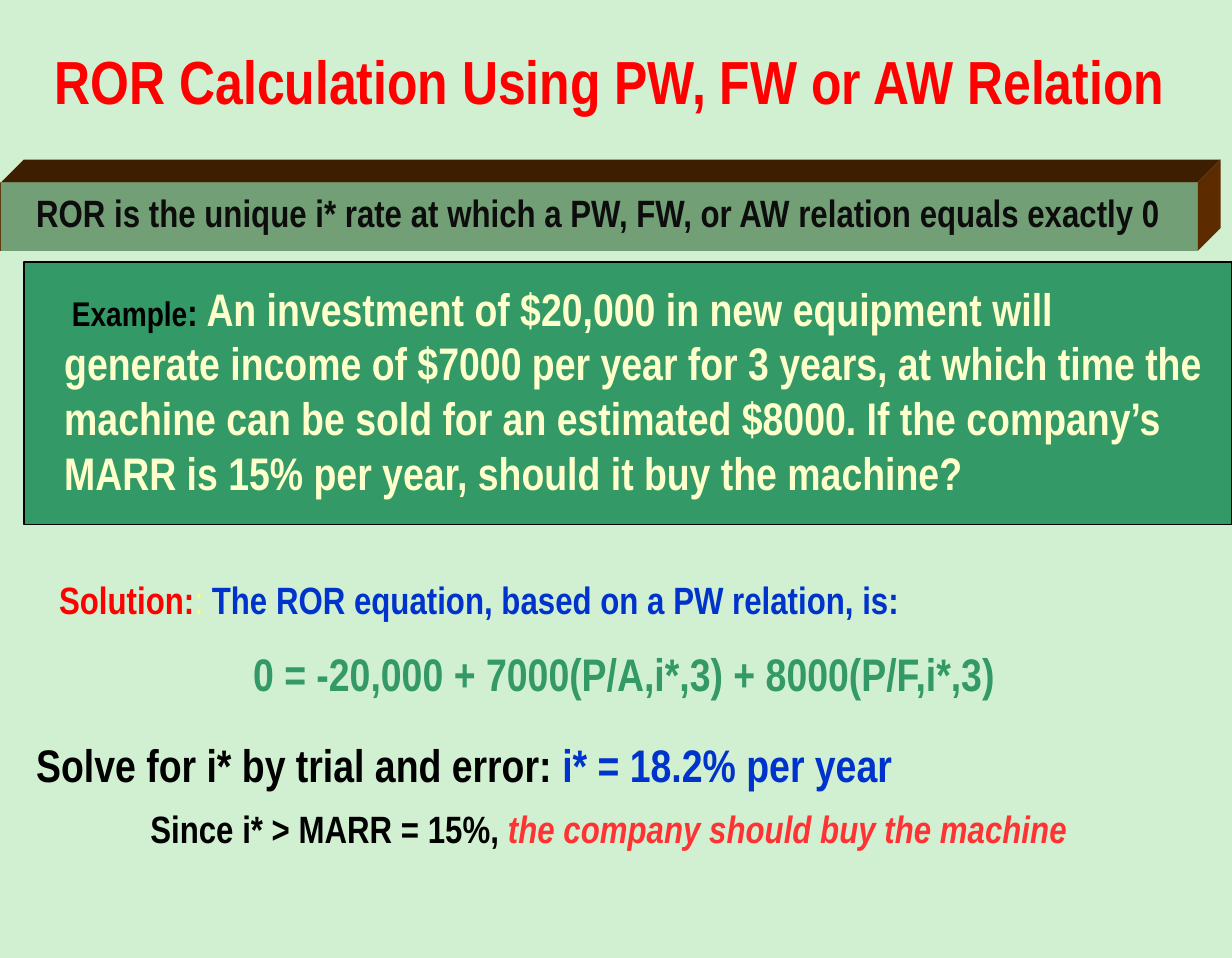
import pptx
import pptx.dml.color
import pptx.enum.shapes
import pptx.enum.text
import pptx.util

COLS, ROWS = 108, 84
CELL = pptx.util.Inches(1) // 12
EDGE = 0.08
FONT = "Arial Narrow"
BLACK, BLUE, GREEN, RED = "000000", "0033CC", "339966", "FF0000"
DARK_BROWN, BROWN = "3D1E00", "5C2C00"


def rgb(color):
    """Turn a hex string into a colour."""
    return pptx.dml.color.RGBColor.from_string(color)


def grid(*cells):
    """Turn grid columns and rows into lengths."""
    return [round(c * CELL) for c in cells]


def paint(sp, fill, line=None):
    """Give a shape a plain fill, an optional line and no shadow."""
    sp.shadow.inherit = False
    sp.fill.solid()
    sp.fill.fore_color.rgb = rgb(fill)
    if line:
        sp.line.color.rgb = rgb(line)
        sp.line.width = pptx.util.Pt(1)
    else:
        sp.line.fill.background()


def add_box(s, box, fill, line=None):
    """Add a filled rectangle."""
    rect = pptx.enum.shapes.MSO_SHAPE.RECTANGLE
    paint(s.shapes.add_shape(rect, *grid(*box)), fill, line)


def add_face(s, points, fill):
    """Add a filled polygon through grid points."""
    start, *rest = [grid(*pt) for pt in points]
    builder = s.shapes.build_freeform(*start)
    builder.add_line_segments(rest, close=True)
    paint(builder.convert_to_shape(), fill)


def add_bar(s, left, top, width, height, depth):
    """Add a bar with a dark top, a brown right side and a thin left edge."""
    right, bottom = left + width, top + height
    add_face(s, [(left + EDGE, top), (left + depth + EDGE, top - depth),
                 (right + depth, top - depth), (right, top)], DARK_BROWN)
    add_face(s, [(right, top), (right + depth, top - depth),
                 (right + depth, bottom - depth), (right, bottom)], BROWN)
    add_box(s, (left, top, width, height), BROWN)
    add_box(s, (left + EDGE, top, width - EDGE, height), "739F76")


def write(p, runs):
    """Fill a paragraph with (text, size, colour, bold, italic) runs."""
    for text, size, color, *style in runs:
        bold, italic = style + [True, False][len(style):]
        r = p.add_run()
        r.text = text
        r.font.name = FONT
        r.font.size = pptx.util.Pt(size)
        r.font.color.rgb = rgb(color)
        r.font.bold, r.font.italic = bold, italic


def add_text(s, box, *runs, wrap=True):
    """Add a text box with one paragraph."""
    tf = s.shapes.add_textbox(*grid(*box)).text_frame
    tf.word_wrap = wrap
    write(tf.paragraphs[0], runs)


def set_title(s, box, text):
    """Place and format the title placeholder."""
    sp = s.shapes.title
    sp.left, sp.top, sp.width, sp.height = grid(*box)
    tf = sp.text_frame
    tf.word_wrap = True
    tf.auto_size = pptx.enum.text.MSO_AUTO_SIZE.NONE
    tf.vertical_anchor = pptx.enum.text.MSO_ANCHOR.MIDDLE
    p = tf.paragraphs[0]
    p.alignment = pptx.enum.text.PP_ALIGN.CENTER
    write(p, [(text, 32, RED)])


def main():
    """Build the slide and save it."""
    prs = pptx.Presentation()
    prs.slide_width, prs.slide_height = grid(COLS, ROWS)
    s = prs.slides.add_slide(prs.slide_layouts[5])
    s.background.fill.solid()
    s.background.fill.fore_color.rgb = rgb("D1F0D1")

    set_title(s, (2, 2, 103, 10), "ROR Calculation Using PW, FW or AW Relation")

    add_bar(s, 0, 16, 105, 6, 2)
    add_text(s, (2, 16, 103, 5.3),
             ("ROR is the unique i* rate at which a PW, FW, or AW relation "
              "equals exactly 0", 20, "0D0D0D"))

    add_box(s, (2 + EDGE, 23, 106 - EDGE, 23), GREEN, BLACK)
    add_text(s, (4.45, 24, 103.55, 20.6),
             (" Example", 18, BLACK), (": ", 20, BLACK),
             ("An investment of $20,000 in new equipment will generate income "
              "of $7000 per year for 3 years, at which time the machine can be "
              "sold for an estimated $8000. If the company\u2019s MARR is 15% "
              "per year, should it buy the machine?", 24, "FFFFCC"))

    add_text(s, (4, 50, 99, 5.3),
             ("Solution:", 20, RED), (": ", 20, "FFFF66", False),
             ("The ROR equation, based on a PW relation, is:", 20, BLUE))
    add_text(s, (21, 56, 68, 6.1),
             ("0 = -20,000 + 7000(P/A,i*,3) + 8000(P/F,i*,3)", 24, GREEN))
    add_text(s, (2, 64, 78.2, 6.1),
             ("Solve for i* by trial and error: ", 24, BLACK),
             ("i* = 18.2% per year", 24, BLUE), wrap=False)
    add_text(s, (12, 70, 83.3, 5.3),
             ("Since i* > MARR = 15%, ", 20, BLACK),
             ("the company should buy the machine", 20, "FF3333", True, True),
             wrap=False)

    prs.save("out.pptx")


main()
